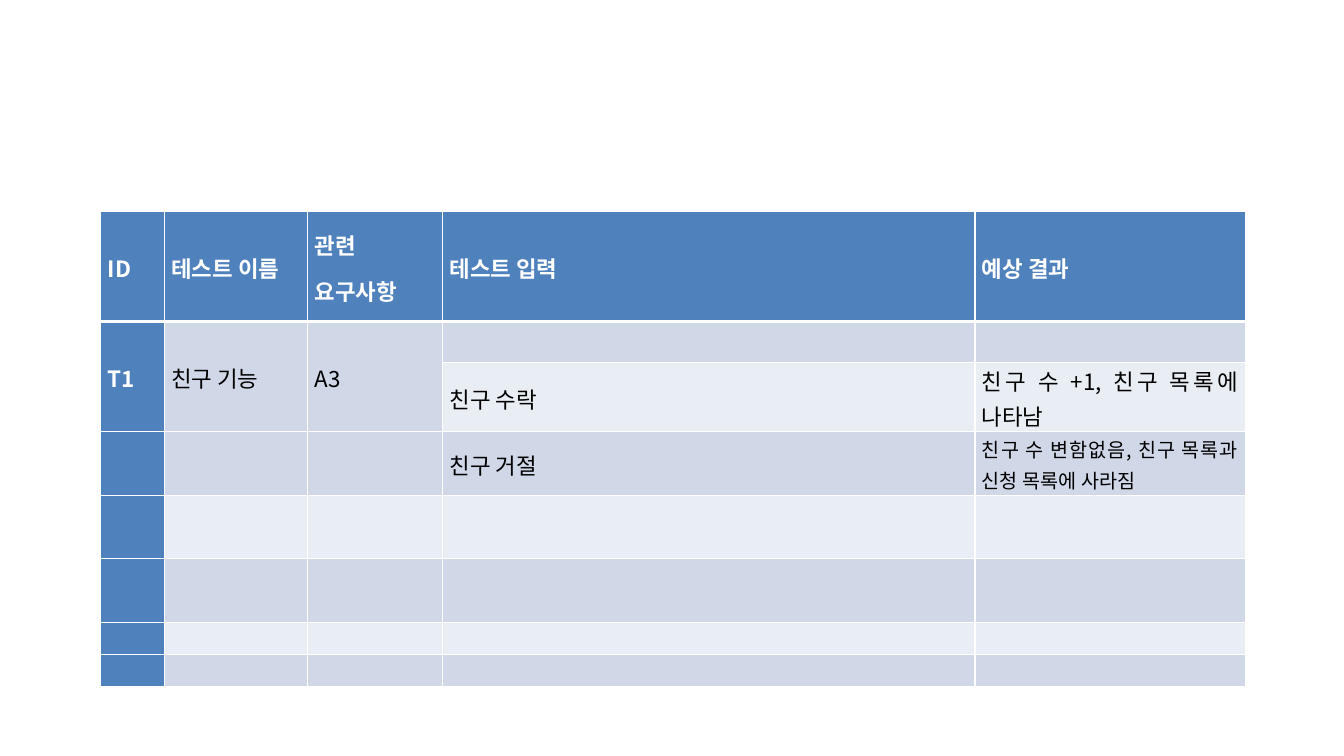
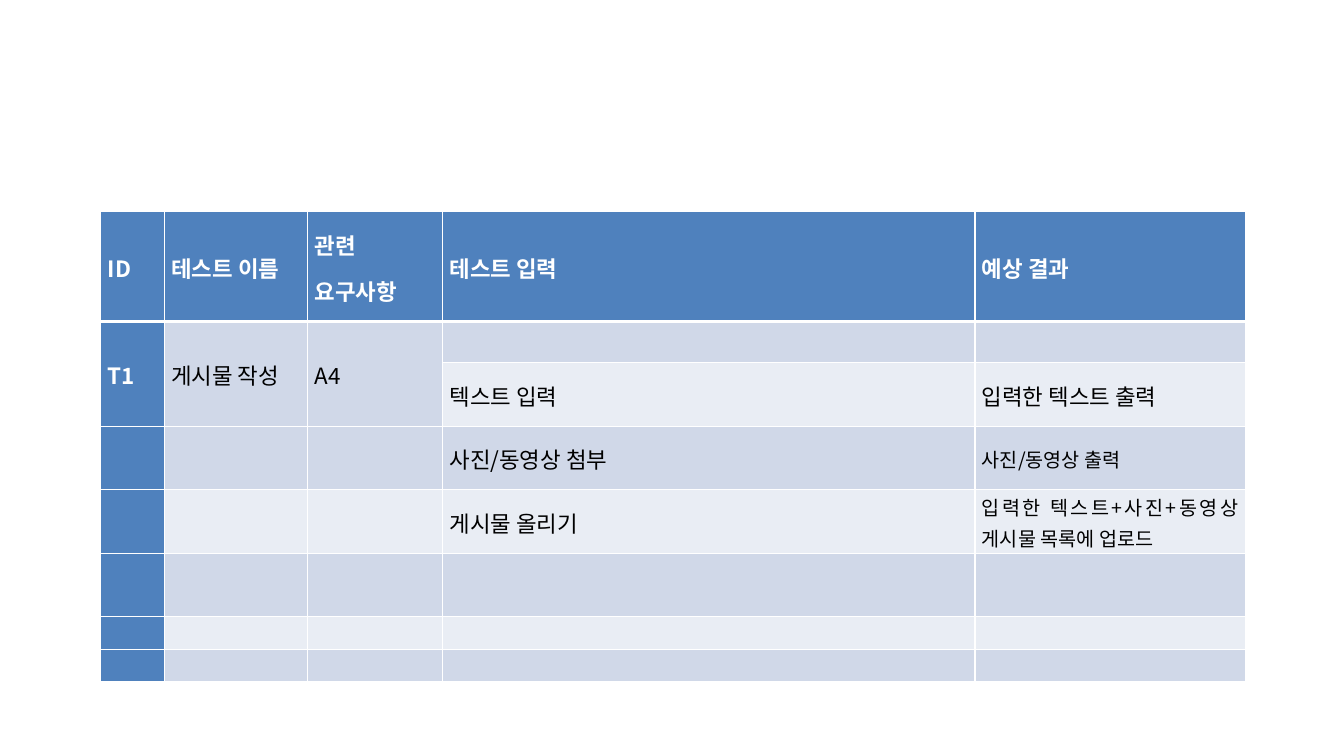
from lxml.etree import SubElement
from pptx import Presentation
from pptx.dml.color import RGBColor
from pptx.enum.text import MSO_ANCHOR, PP_ALIGN
from pptx.oxml.ns import qn
from pptx.util import Inches, Pt

# Shared look
FONT = "Noto Sans CJK KR"
BLUE, DARK, LIGHT = "4F81BD", "D0D8E8", "E9EDF4"
WHITE, BLACK = "FFFFFF", "000000"
BOX = (1, 2.1, 11.34, 4.65)
COLS = (0.63, 1.42, 1.34, 5.28, 2.68)
ROWS = (1.09, 0.41, 0.63, 0.63, 0.63, 0.63, 0.3, 0.3)
HEAD = ("ID", "테스트 이름", "관련\n요구사항", "테스트 입력", "예상 결과")

# Each case: merged labels, then (input, result, result size) per row
CASES = (
    (("T1", "친구 기능", "A3"), (
        ("친구 수락", "친구 수 +1, 친구 목록에 나타남", 16),
        ("친구 거절", "친구 수 변함없음, 친구 목록과 신청 목록에 사라짐", 14))),
    (("T1", "게시물 작성", "A4"), (
        ("텍스트 입력", "입력한 텍스트 출력", 16),
        ("사진/동영상 첨부", "사진/동영상 출력", 14),
        ("게시물 올리기", "입력한 텍스트+사진+동영상 게시물 목록에 업로드", 14))),
)


def color(code):
    return RGBColor.from_string(code)


def write(cell, text, size=16, ink=BLACK, bold=False):
    frame = cell.text_frame
    frame.text = text
    for para in frame.paragraphs:
        para.alignment = PP_ALIGN.JUSTIFY
        para.line_spacing = 1.07
        para.space_after = Pt(8)
        for run in para.runs:
            font = run.font
            font.name, font.size, font.bold = FONT, Pt(size), bold
            font.color.rgb = color(ink)
            SubElement(font._element, qn("a:ea"), typeface=FONT)
        if not para.runs:
            # An empty cell keeps the height of a text line
            end = SubElement(para._p, qn("a:endParaRPr"), sz=str(size * 100))
            for tag in ("a:latin", "a:ea"):
                SubElement(end, qn(tag), typeface=FONT)


def edge(cell, row):
    widths = {"L": 1, "R": 1, "T": 3 if row == 1 else 1, "B": 3 if row == 0 else 1}
    props = cell._tc.get_or_add_tcPr()
    for side, width in widths.items():
        line = SubElement(props, qn(f"a:ln{side}"), w=str(Pt(width)))
        fill = SubElement(line, qn("a:solidFill"))
        SubElement(fill, qn("a:srgbClr"), val=WHITE)


def style(cell, row, col):
    cell.vertical_anchor = MSO_ANCHOR.MIDDLE
    cell.margin_left = cell.margin_right = Inches(0.07)
    cell.margin_top = cell.margin_bottom = 0
    edge(cell, row)
    cell.fill.solid()
    band = DARK if row % 2 else LIGHT
    cell.fill.fore_color.rgb = color(BLUE if row == 0 or col == 0 else band)


def fill_in(labels, steps):
    """Map (row, column) to text and size."""
    words = {(0, col): (text, 16) for col, text in enumerate(HEAD)}
    words.update({(1, col): (text, 16) for col, text in enumerate(labels)})
    for row, (entry, result, size) in enumerate(steps, 2):
        words[row, 3] = (entry, 16)
        words[row, 4] = (result, size)
    return words


def test_grid(slide, box, labels, steps):
    shape = slide.shapes.add_table(len(ROWS), len(COLS), *map(Inches, box))
    grid = shape.table
    for col, width in zip(grid.columns, COLS):
        col.width = Inches(width)
    for row, height in zip(grid.rows, ROWS):
        row.height = Inches(height)

    words = fill_in(labels, steps)
    for row in range(len(ROWS)):
        for col in range(len(COLS)):
            cell = grid.cell(row, col)
            style(cell, row, col)
            text, size = words.get((row, col), ("", 16))
            strong = row == 0 or col == 0
            write(cell, text, size=size, ink=WHITE if strong else BLACK, bold=strong)

    # Labels span the first two body rows
    for col in range(len(labels)):
        grid.cell(1, col).merge(grid.cell(2, col))


deck = Presentation()
deck.slide_width, deck.slide_height = Inches(13.33), Inches(7.5)
for labels, steps in CASES:
    test_grid(deck.slides.add_slide(deck.slide_layouts[6]), BOX, labels, steps)
deck.save("out.pptx")
